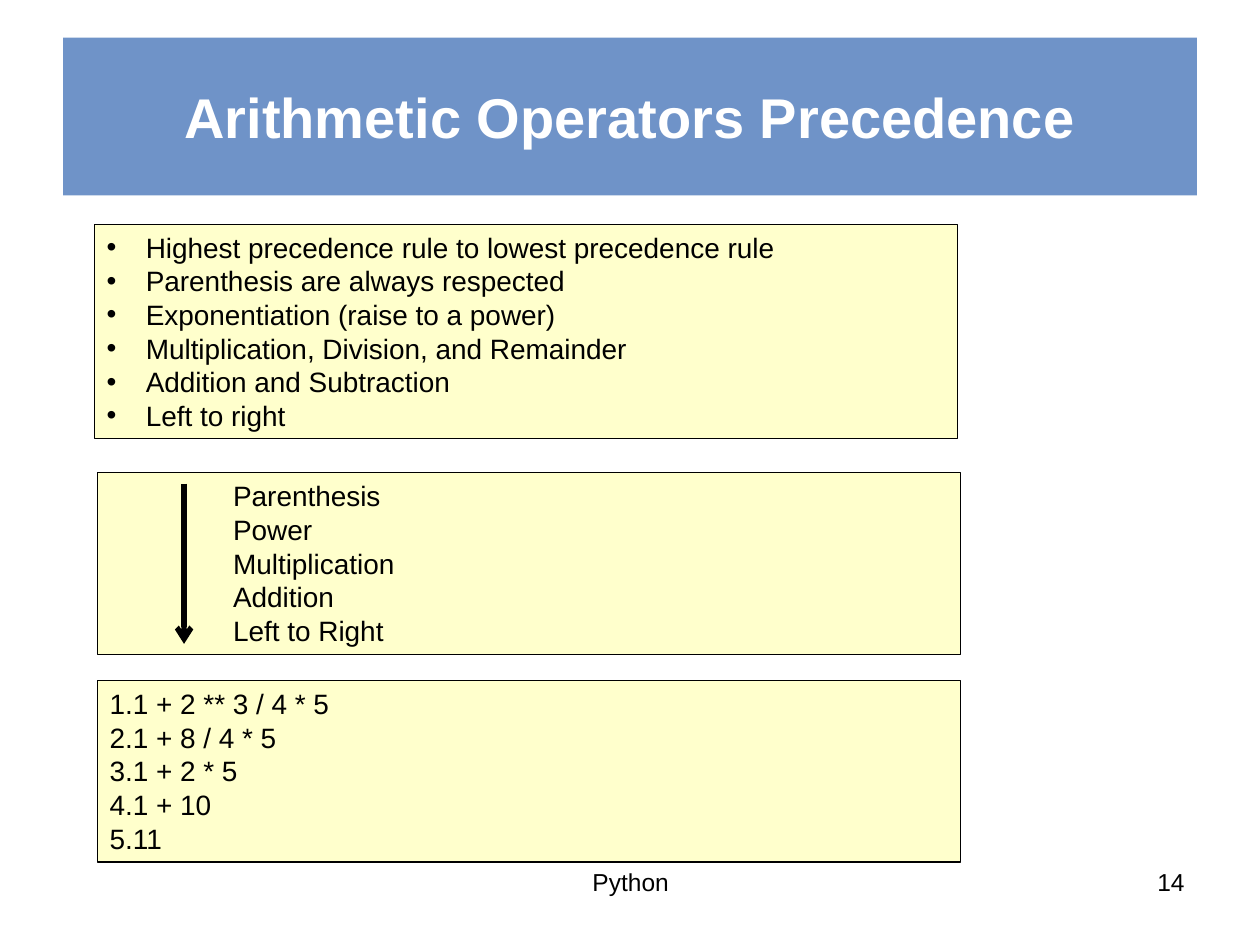
"""Build the slide on the precedence of arithmetic operators."""
from lxml.etree import SubElement
from pptx import Presentation
from pptx.dml.color import RGBColor
from pptx.enum.shapes import MSO_CONNECTOR, MSO_SHAPE
from pptx.enum.text import MSO_ANCHOR, PP_ALIGN
from pptx.oxml.ns import qn
from pptx.util import Cm, Pt


def paint(form, tone):
    form.solid()
    form.fore_color.rgb = RGBColor.from_string(tone)


def write(shape, text, size=16, tone="000000", bold=False, align=PP_ALIGN.LEFT,
          anchor=MSO_ANCHOR.TOP, lead=None, mark=None, left=0, hang=0):
    frame = shape.text_frame
    frame.word_wrap = True
    frame.vertical_anchor = anchor
    frame.text = text
    for para in frame.paragraphs:
        para.alignment = align
        para.line_spacing = lead
        para.font.name = "Arial"
        para.font.size = Pt(size)
        para.font.bold = bold
        paint(para.font.fill, tone)
        props = para._p.get_or_add_pPr()
        props.set("marL", str(Cm(left)))
        props.set("indent", str(Cm(hang)))
        if mark == "•":
            SubElement(props, qn("a:buFont"), typeface="Arial")
            SubElement(props, qn("a:buChar"), char=mark)
        elif mark:
            SubElement(props, qn("a:buAutoNum"), type=mark)


deck = Presentation()
deck.slide_width, deck.slide_height = Cm(25.4), Cm(19.05)
slide = deck.slides.add_slide(deck.slide_layouts[5])
shapes = slide.shapes

title = shapes.title
title.left, title.top, title.width, title.height = Cm(1.27), Cm(0.76), Cm(22.86), Cm(3.18)
paint(title.fill, "4775B9")
shade = title._element.spPr.find(".//" + qn("a:srgbClr"))
SubElement(shade, qn("a:alpha"), val="78000")
write(title, "Arithmetic Operators Precedence", size=32, tone="FFFFFF", bold=True,
      align=PP_ALIGN.CENTER, anchor=MSO_ANCHOR.MIDDLE)

rules = ["Highest precedence rule to lowest precedence rule",
         "Parenthesis are always respected",
         "Exponentiation (raise to a power)",
         "Multiplication, Division, and Remainder",
         "Addition and Subtraction",
         "Left to right"]
order = ["Parenthesis", "Power", "Multiplication", "Addition", "Left to Right"]
steps = ["1 + 2 ** 3 / 4 * 5", "1 + 8 / 4 * 5", "1 + 2 * 5", "1 + 10", "11"]
panels = [
    (1.9, 4.52, 4.32, rules, dict(mark="•", left=0.79, hang=-0.79)),
    (1.96, 9.53, 3.66, order, dict(left=2.49)),
    (1.96, 13.72, 3.66, steps, dict(mark="arabicPeriod")),
]
for left, top, height, lines, style in panels:
    panel = shapes.add_shape(MSO_SHAPE.RECTANGLE, Cm(left), Cm(top), Cm(17.4), Cm(height))
    panel.shadow.inherit = False
    paint(panel.fill, "FFFFCC")
    paint(panel.line.fill, "000000")
    panel.line.width = Pt(0.75)
    write(panel, "\n".join(lines), lead=Pt(19.2), **style)

arrow = shapes.add_connector(MSO_CONNECTOR.STRAIGHT, Cm(3.71), Cm(9.75), Cm(3.71), Cm(12.98))
paint(arrow.line.fill, "000000")
arrow.line.width = Pt(3)
SubElement(arrow.line._get_or_add_ln(), qn("a:tailEnd"), type="arrow")
SubElement(arrow._element.spPr, qn("a:effectLst"))

for left, width, text, align in [(18.21, 5.92, "14", PP_ALIGN.RIGHT),
                                 (8.69, 8.05, "Python", PP_ALIGN.CENTER)]:
    foot = shapes.add_textbox(Cm(left), Cm(17.35), Cm(width), Cm(1.32))
    write(foot, text, size=14, align=align)

deck.save("out.pptx")
